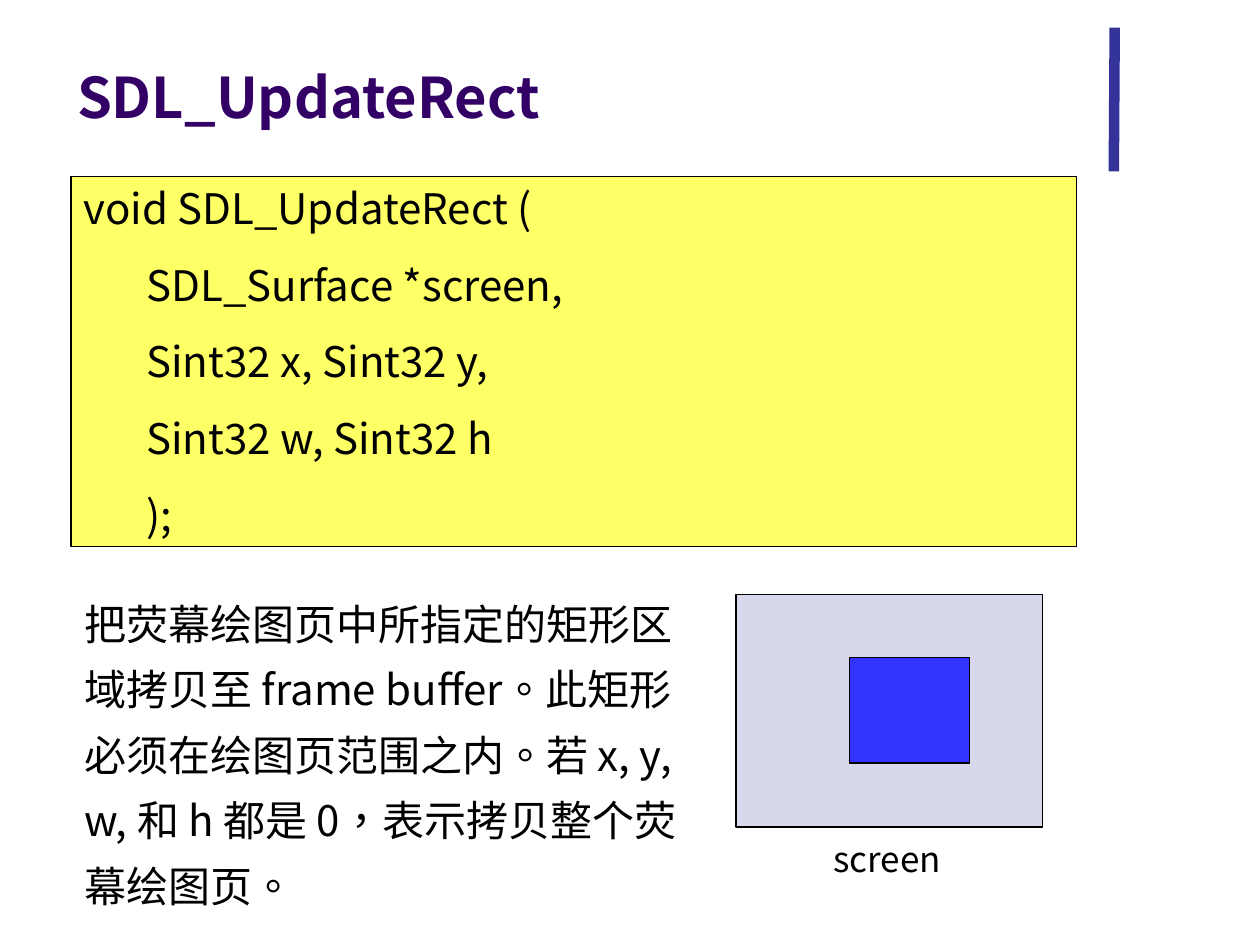
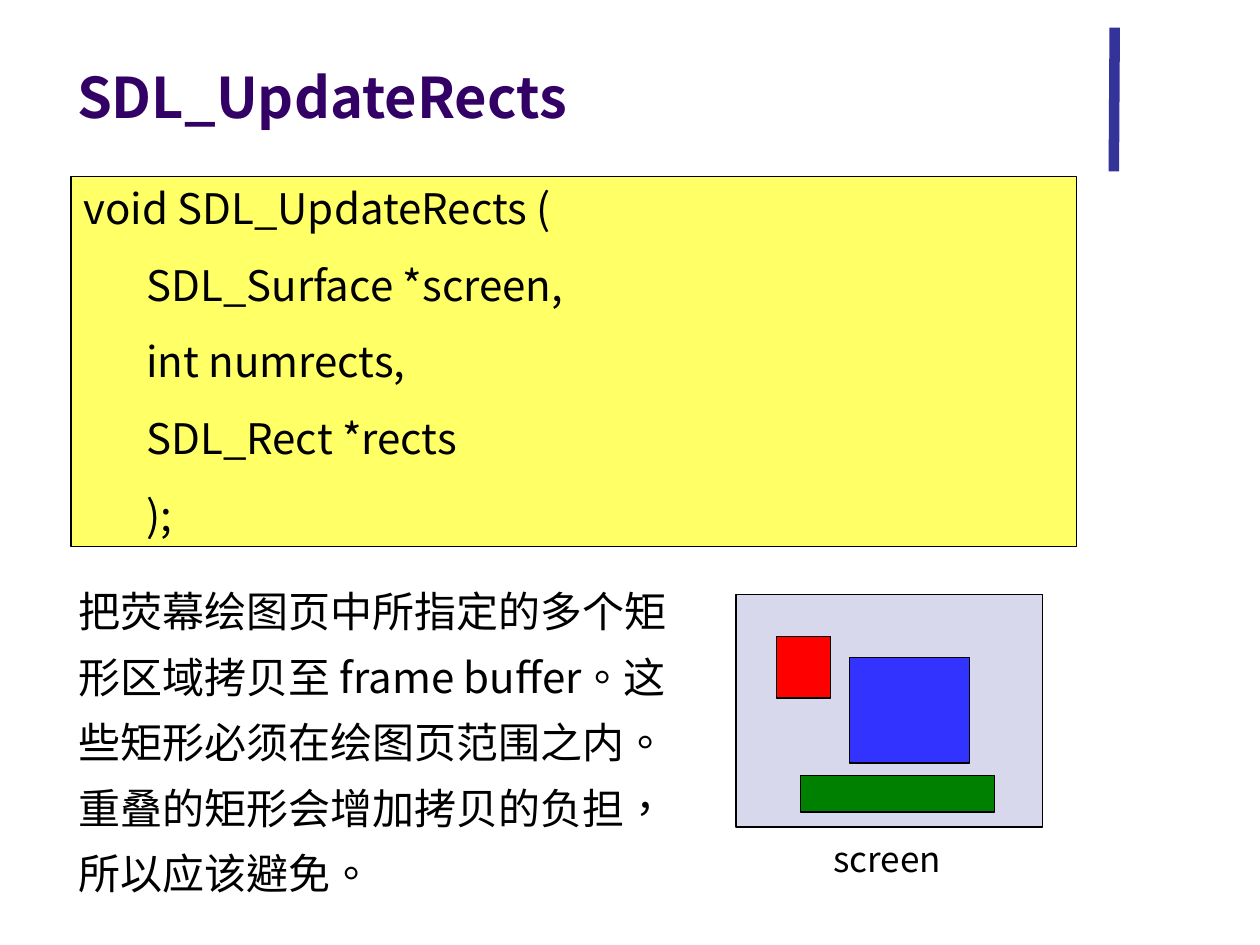
from dataclasses import dataclass
from typing import NamedTuple

from lxml.etree import SubElement
from pptx import Presentation
from pptx.dml.color import RGBColor as Rgb
from pptx.enum.lang import MSO_LANGUAGE_ID as Lang
from pptx.enum.shapes import MSO_CONNECTOR as Line, MSO_SHAPE as Form
from pptx.enum.text import MSO_ANCHOR as Anchor, PP_ALIGN as Align
from pptx.oxml.ns import qn
from pptx.util import Inches, Pt

WIDE, HIGH = Inches(10), Inches(7.5)
COLS, ROWS = 100, 75
FONT = "Noto Sans CJK SC"
INK, TITLE, BAR = "000000", "330066", "333399"
PAPER, PANEL = "FFFF66", "D8D8EC"
BLUE, RED, GREEN = "3333FF", "FF0000", "008000"
LEAD = 1.2  # line height as a multiple of the text size


class Box(NamedTuple):
    """Place in grid columns and rows."""
    left: float
    top: float
    width: float
    height: float

    def place(self) -> tuple:
        return (col(self.left), row(self.top),
                col(self.width), row(self.height))


class Style(NamedTuple):
    size: int
    color: str = INK
    bold: bool = False
    lines: float = 1
    before: int = 0


class Patch(NamedTuple):
    box: Box
    fill: str


@dataclass
class Page:
    title: str
    args: list[str]
    note: str
    spot: Box
    patches: list[Patch]


HEAD = Style(32, TITLE, bold=True)
CODE = Style(24, before=15)
BODY = Style(24, lines=1.3)
LABEL = Style(20)

WINDOW = Patch(Box(58.4, 47.2, 24.35, 18.45), PANEL)
CENTER = Patch(Box(67.4, 52.2, 9.55, 8.35), BLUE)

PAGES = [
    Page("SDL_UpdateRect",
         ["SDL_Surface *screen,", "Sint32 x, Sint32 y,", "Sint32 w, Sint32 h"],
         "把荧幕绘图页中所指定的矩形区域拷贝至 frame buffer。此矩形必须在绘图页范围之内。"
         "若 x, y, w, 和 h 都是 0，表示拷贝整个荧幕绘图页。",
         Box(5.7, 45.8, 49.7, 27),
         [WINDOW, CENTER]),
    Page("SDL_UpdateRects",
         ["SDL_Surface *screen,", "int numrects,", "SDL_Rect *rects"],
         "把荧幕绘图页中所指定的多个矩形区域拷贝至 frame buffer。这些矩形必须在绘图页范围之内。"
         "重叠的矩形会增加拷贝的负担，所以应该避免。",
         Box(5.25, 44.8, 49.7, 27),
         [WINDOW, CENTER,
          Patch(Box(61.63, 50.5, 4.3, 4.9), RED),
          Patch(Box(63.53, 61.55, 15.4, 2.9), GREEN)]),
]


def col(n: float) -> int:
    return round(WIDE * n / COLS)


def row(n: float) -> int:
    return round(HIGH * n / ROWS)


def rgb(code: str) -> Rgb:
    return Rgb.from_string(code)


def write(shape, lines: list[str], style: Style, hang: float = 0,
          anchor=Anchor.TOP, wrap: bool = True) -> None:
    """Fill a shape with paragraphs; all but the first are indented by hang."""
    frame = shape.text_frame
    frame.word_wrap = wrap
    frame.vertical_anchor = anchor
    frame.margin_left = frame.margin_right = col(1)
    frame.margin_top = frame.margin_bottom = row(0.5)
    for i, line in enumerate(lines):
        para = frame.paragraphs[0] if i == 0 else frame.add_paragraph()
        para.text = line
        para.alignment = Align.LEFT
        para.line_spacing = Pt(style.size * LEAD * style.lines)
        props = para._p.get_or_add_pPr()
        props.set("hangingPunct", "0")
        if i:
            para.space_before = Pt(style.before)
            props.set("marL", str(col(hang)))
        font = para.font
        font.size, font.bold, font.name = Pt(style.size), style.bold, FONT
        font.color.rgb = rgb(style.color)
        font.language_id = Lang.TRADITIONAL_CHINESE
        east = SubElement(props.find(qn("a:defRPr")), qn("a:ea"))
        east.set("typeface", FONT)


def text(slide, box: Box, line: str, style: Style, **opts) -> None:
    write(slide.shapes.add_textbox(*box.place()), [line], style, **opts)


def block(slide, patch: Patch):
    shape = slide.shapes.add_shape(Form.RECTANGLE, *patch.box.place())
    shape.shadow.inherit = False
    shape.fill.solid()
    shape.fill.fore_color.rgb = rgb(patch.fill)
    shape.line.color.rgb = rgb(INK)
    shape.line.width = Pt(0.75)
    return shape


def bar(slide) -> None:
    """Draw the upright accent beside the title."""
    line = slide.shapes.add_connector(
        Line.STRAIGHT, col(88.47), row(2.2), col(88.4), row(13.6))
    line.line.color.rgb = rgb(BAR)
    line.line.width = Pt(6)
    SubElement(line._element.spPr, qn("a:effectLst"))


def draw(deck, page: Page) -> None:
    slide = deck.slides.add_slide(deck.slide_layouts[6])
    bar(slide)
    text(slide, Box(5.13, 2.8, 82.5, 8), page.title, HEAD,
         anchor=Anchor.BOTTOM)
    code = block(slide, Patch(Box(5.63, 14, 79.8, 29.35), PAPER))
    write(code, [f"void {page.title} (", *page.args, ");"], CODE, hang=5)
    text(slide, page.spot, page.note, BODY)
    for patch in page.patches:
        block(slide, patch)
    text(slide, Box(65.15, 66, 12, 4.4), "screen", LABEL, wrap=False)


def main() -> None:
    deck = Presentation()
    deck.slide_width, deck.slide_height = WIDE, HIGH
    for page in PAGES:
        draw(deck, page)
    deck.save("out.pptx")


if __name__ == "__main__":
    main()
